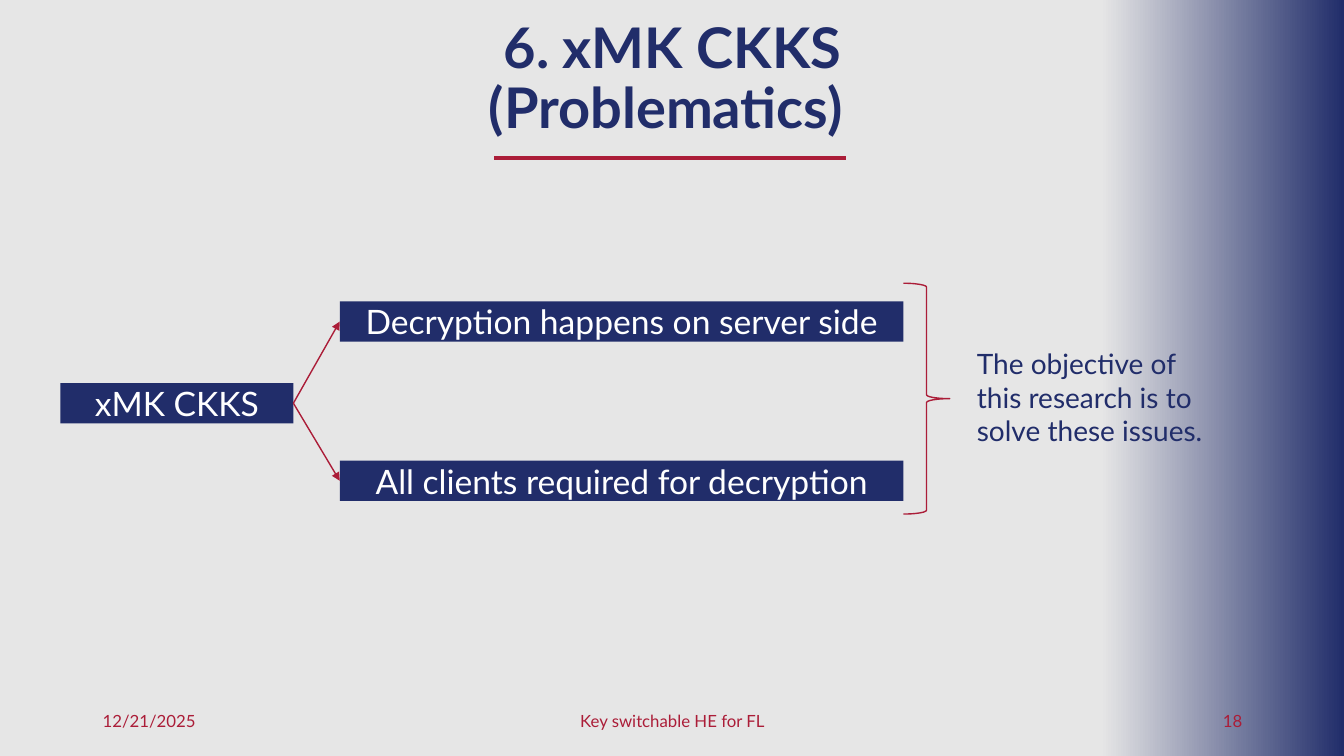
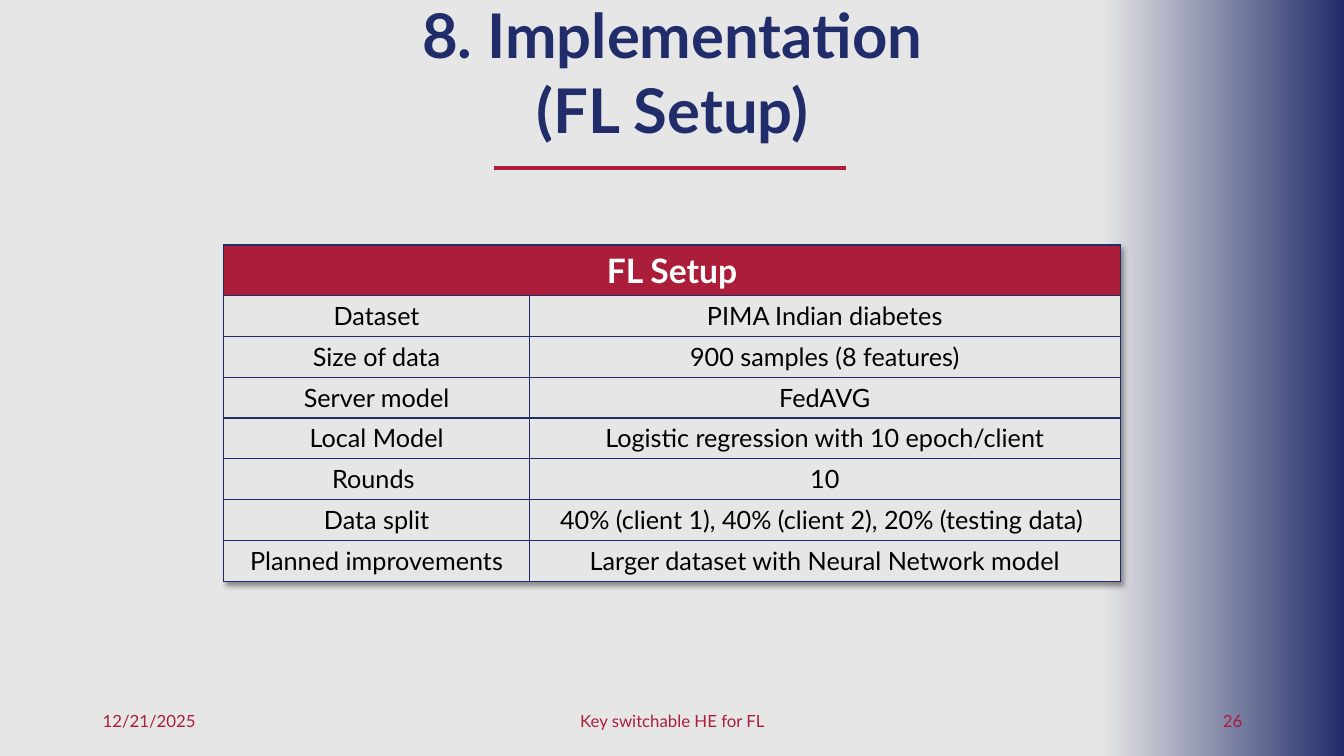
from lxml import etree
from pptx import Presentation
from pptx.dml.color import RGBColor
from pptx.enum.shapes import MSO_CONNECTOR, MSO_SHAPE
from pptx.enum.text import MSO_ANCHOR, MSO_AUTO_SIZE, PP_ALIGN
from pptx.oxml import parse_xml
from pptx.oxml.ns import nsdecls, qn
from pptx.util import Inches, Pt

LEFT, CENTER, RIGHT = PP_ALIGN.LEFT, PP_ALIGN.CENTER, PP_ALIGN.RIGHT
TOP, MIDDLE = MSO_ANCHOR.TOP, MSO_ANCHOR.MIDDLE
RECTANGLE, BRACE = MSO_SHAPE.RECTANGLE, MSO_SHAPE.RIGHT_BRACE
STRAIGHT, NO_AUTOFIT = MSO_CONNECTOR.STRAIGHT, MSO_AUTO_SIZE.NONE

FONT = "Lato"
NAVY, RED, GRAY, WHITE, BLACK = "212D6A", "AB1D38", "E6E6E6", "FFFFFF", "000000"
TITLE_ONLY = 5

# Content
DATE, FOOTER = "12/21/2025", "Key switchable HE for FL"
SCHEME = "xMK CKKS"
PROBLEMS = ["Decryption happens on server side", "All clients required for decryption"]
OBJECTIVE = "The objective of this research is to solve these issues."
SETUP_TITLE = "FL Setup"
SETUP = [
    ("Dataset", "PIMA Indian diabetes"),
    ("Size of data", "900 samples (8 features)"),
    ("Server model", "FedAVG"),
    ("Local Model", "Logistic regression with 10 epoch/client"),
    ("Rounds ", "10"),
    ("Data split", "40% (client 1), 40% (client 2), 20% (testing data) "),
    ("Planned improvements", "Larger dataset with Neural Network model"),
]


def rgb(code):
    return RGBColor.from_string(code)


def place(*lengths):
    return [Inches(length) for length in lengths]


def write(frame, lines, size, color, align=LEFT, anchor=MIDDLE, bold=False):
    frame.word_wrap = True
    frame.vertical_anchor = anchor
    for index, line in enumerate(lines):
        para = frame.add_paragraph() if index else frame.paragraphs[0]
        para.alignment = align
        span = para.add_run()
        span.text = line
        font = span.font
        font.name, font.size, font.bold = FONT, Pt(size), bold
        font.color.rgb = rgb(color)


def add_text(slide, at, text, size, color, align=LEFT, anchor=MIDDLE):
    box = slide.shapes.add_textbox(*place(*at))
    write(box.text_frame, [text], size, color, align, anchor)


def add_label(slide, at, text):
    box = slide.shapes.add_shape(RECTANGLE, *place(*at))
    box.shadow.inherit = False
    box.fill.solid()
    box.fill.fore_color.rgb = rgb(NAVY)
    box.line.fill.background()
    write(box.text_frame, [text], 24, WHITE, CENTER)


def add_line(slide, start, end, width, arrow=False):
    line = slide.shapes.add_connector(STRAIGHT, *place(*start, *end))
    line.line.color.rgb = rgb(RED)
    line.line.width = Pt(width)
    if arrow:
        etree.SubElement(line.line._get_or_add_ln(), qn("a:tailEnd"), type="triangle")
    etree.SubElement(line._element.spPr, qn("a:effectLst"))


def add_page(deck, title_lines, title_at, title_size, rule_y, number):
    slide = deck.slides.add_slide(deck.slide_layouts[TITLE_ONLY])
    slide.background.fill.solid()
    slide.background.fill.fore_color.rgb = rgb(GRAY)

    # Gradient band on the right
    band = slide.shapes.add_shape(RECTANGLE, *place(10.92, 0, 2.41, 7.5))
    band.shadow.inherit = False
    band.line.fill.background()
    band.fill.gradient()
    band.fill.gradient_angle = 0
    for stop, position, color in zip(band.fill.gradient_stops, (0, 1), (GRAY, NAVY)):
        stop.position = position
        stop.color.rgb = rgb(color)

    # Footer
    for left, width, text, align in [(0.92, 3, DATE, LEFT), (4.42, 4.5, FOOTER, CENTER),
                                     (9.42, 3, str(number), RIGHT)]:
        add_text(slide, (left, 6.95, width, 0.4), text, 12, RED, align)

    # Title, in front of the band, with its rule
    title = slide.shapes.title
    title.left, title.top, title.width, title.height = place(*title_at)
    title.text_frame.auto_size = NO_AUTOFIT
    write(title.text_frame, title_lines, title_size, NAVY, CENTER, bold=True)
    for para in title.text_frame.paragraphs:
        para.line_spacing = 0.9
        para.space_after = Pt(6)
    slide.shapes._spTree.append(title._element)
    add_line(slide, (4.9, rule_y), (8.39, rule_y), 3)
    return slide


def add_problems(slide):
    height, scheme_left, scheme_width, scheme_top = 0.4, 0.6, 2.31, 3.8
    problem_left, problem_width, first_top, step = 3.37, 5.59, 2.99, 1.58
    add_label(slide, (scheme_left, scheme_top, scheme_width, height), SCHEME)
    start = (scheme_left + scheme_width, scheme_top + height / 2)
    for index, problem in enumerate(PROBLEMS):
        top = first_top + index * step
        add_label(slide, (problem_left, top, problem_width, height), problem)
        add_line(slide, start, (problem_left, top + height / 2), 1, arrow=True)

    brace = slide.shapes.add_shape(BRACE, *place(problem_left + problem_width, 2.81, 0.46, 2.29))
    brace.shadow.inherit = False
    brace.fill.background()
    brace.line.color.rgb = rgb(RED)
    brace.line.width = Pt(1)
    add_text(slide, (9.59, 3.39, 2.65, 1.11), OBJECTIVE, 20, NAVY, anchor=TOP)


def format_cell(cell, text, size, color, fill, bold=False):
    write(cell.text_frame, [text], size, color, CENTER, bold=bold)
    cell.fill.solid()
    cell.fill.fore_color.rgb = rgb(fill)


def add_borders(cell):
    for index, side in enumerate(("lnL", "lnR", "lnT", "lnB")):
        cell._tc.get_or_add_tcPr().insert(index, parse_xml(
            f'<a:{side} {nsdecls("a")} w="12700"><a:solidFill>'
            f'<a:srgbClr val="{NAVY}"/></a:solidFill></a:{side}>'))


def add_setup_table(slide):
    widths, height, header_height = (3.03, 5.86), 3.34, 0.5
    frame = slide.shapes.add_table(len(SETUP) + 1, 2, *place(2.22, 2.43, sum(widths), height))
    table = frame.table
    table.first_row = table.horz_banding = False
    table._tbl.tblPr.insert(0, parse_xml(
        f'<a:effectLst {nsdecls("a")}><a:outerShdw blurRad="50800" dist="38100" dir="2700000" '
        f'algn="tl" rotWithShape="0"><a:srgbClr val="{BLACK}"><a:alpha val="40000"/>'
        '</a:srgbClr></a:outerShdw></a:effectLst>'))
    for column, width in zip(table.columns, widths):
        column.width = Inches(width)
    for index, row in enumerate(table.rows):
        row.height = Inches((height - header_height) / len(SETUP) if index else header_height)

    header = table.cell(0, 0)
    header.merge(table.cell(0, 1))
    format_cell(header, SETUP_TITLE, 24, WHITE, RED, bold=True)
    for row, texts in enumerate(SETUP, 1):
        for column, text in enumerate(texts):
            format_cell(table.cell(row, column), text, 18, BLACK, GRAY)
    for cell in table.iter_cells():
        add_borders(cell)


def main():
    deck = Presentation()
    deck.slide_width, deck.slide_height = place(13.33, 7.5)
    add_problems(add_page(deck, ["6. xMK CKKS (Problematics) "],
                          (3.31, 0.01, 6.72, 1.57), 40, 1.57, 18))
    add_setup_table(add_page(deck, ["8. Implementation", "(FL Setup)"],
                             (3.43, 0, 6.48, 1.51), 44, 1.67, 26))
    deck.save("out.pptx")


if __name__ == "__main__":
    main()
